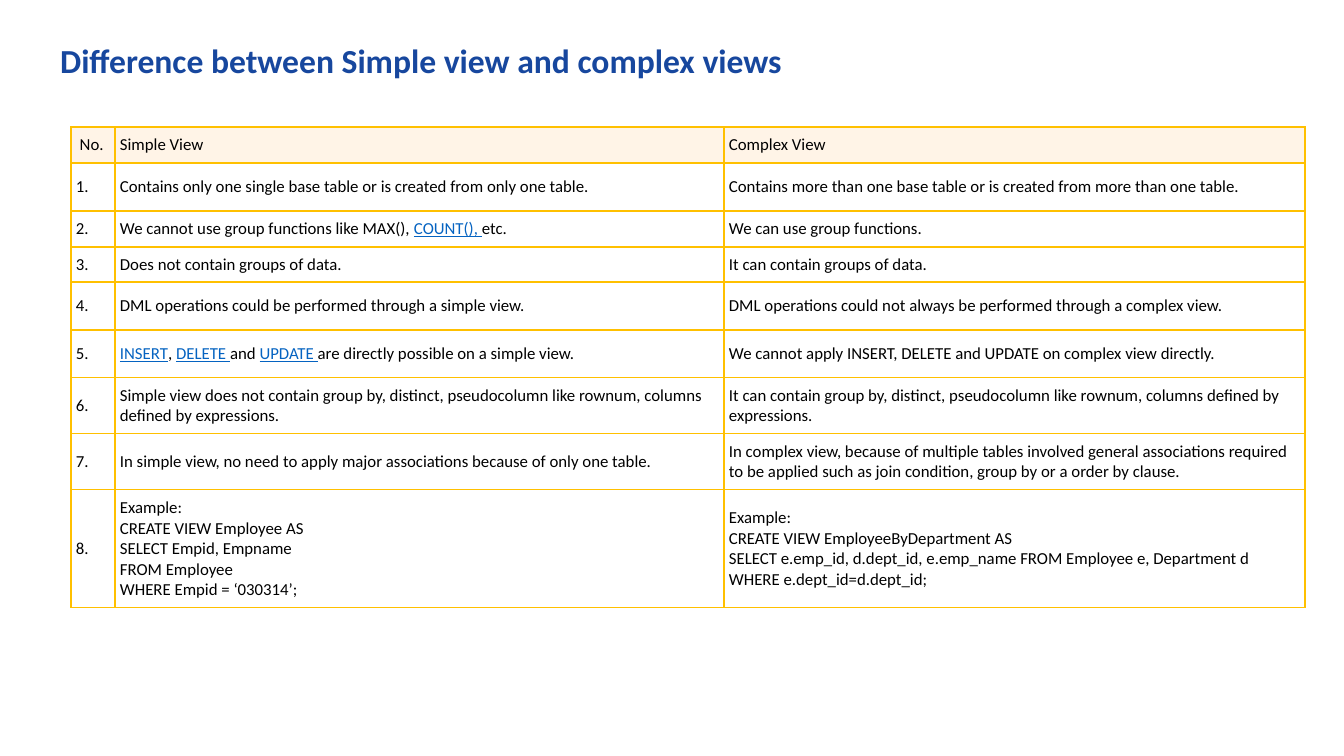
from lxml.etree import SubElement
from pptx import Presentation
from pptx.dml.color import RGBColor
from pptx.enum.text import MSO_ANCHOR, MSO_AUTO_SIZE, PP_ALIGN
from pptx.oxml.ns import qn
from pptx.util import Emu, Pt

PX = 9071  # EMU in one px, at 100.8 px to the inch


def style(r, size, color, **fmt):
    fmt = {"name": "Calibri", "size": Pt(size), **fmt}
    for key, value in fmt.items():
        setattr(r.font, key, value)
    r.font.color.rgb = RGBColor.from_string(color)


def add_borders(cell, color, width):
    tcPr = cell._tc.get_or_add_tcPr()
    for i, side in enumerate(("lnL", "lnR", "lnT", "lnB")):
        ln = SubElement(tcPr, qn(f"a:{side}"), w=str(Pt(width)))
        fill = SubElement(ln, qn("a:solidFill"))
        SubElement(fill, qn("a:srgbClr"), val=color)
        tcPr.remove(ln)
        tcPr.insert(i, ln)  # borders come before the cell fill


prs = Presentation()
prs.slide_width, prs.slide_height = Emu(1344 * PX), Emu(756 * PX)
s = prs.slides.add_slide(prs.slide_layouts[5])

# Title
title = s.shapes.title
title.left, title.top, title.width, title.height = (
    Emu(v * PX) for v in (50, 15, 965, 64))
tf = title.text_frame
for key, value in {"word_wrap": True, "auto_size": MSO_AUTO_SIZE.NONE,
                   "vertical_anchor": MSO_ANCHOR.TOP}.items():
    setattr(tf, key, value)
p = tf.paragraphs[0]
for key, value in {"alignment": PP_ALIGN.LEFT, "line_spacing": 1.5,
                   "space_before": Pt(10)}.items():
    setattr(p, key, value)
r = p.add_run()
r.text = "Difference between Simple view and complex views"
style(r, 24, "17479E", bold=True)

# Table content: *link*, \n starts a paragraph, | breaks a line
header = (" No.", "Simple View", "Complex View")
differences = [
    ("Contains only one single base table or is created from only one table.",
     "Contains more than one base table or is created from more than one table."),
    ("We cannot use group functions like MAX(), *COUNT(), *etc.",
     "We can use group functions."),
    ("Does not contain groups of data.", "It can contain groups of data."),
    ("DML operations could be performed through a simple view.",
     "DML operations could not always be performed through a complex view."),
    ("*INSERT*, *DELETE *and *UPDATE *are directly possible on a simple view.",
     "We cannot apply INSERT, DELETE and UPDATE on complex view directly."),
    ("Simple view does not contain group by, distinct, pseudocolumn like rownum, "
     "columns defined by expressions.",
     "It can contain group by, distinct, pseudocolumn like rownum, "
     "columns defined by expressions."),
    ("In simple view, no need to apply major associations because of only one table.",
     "In complex view, because of multiple tables involved general associations "
     "required to be applied such as join condition, group by or a order by clause."),
    ("Example:\nCREATE VIEW Employee AS|SELECT Empid, Empname|FROM Employee|"
     "WHERE Empid = ‘030314’;",
     "Example:\nCREATE VIEW EmployeeByDepartment AS\nSELECT e.emp_id, d.dept_id, "
     "e.emp_name FROM Employee e, Department d WHERE e.dept_id=d.dept_id;"),
]
rows = [header] + [(f"{n}.", *pair) for n, pair in enumerate(differences, 1)]
col_widths = (44, 609, 581)
row_heights = (36, 48, 36, 35, 48, 48, 56, 56, 118)

# Table
table = s.shapes.add_table(
    len(rows), len(col_widths), Emu(71 * PX), Emu(127 * PX),
    Emu(sum(col_widths) * PX), Emu(sum(row_heights) * PX)).table
for col, width in zip(table.columns, col_widths):
    col.width = Emu(width * PX)
for row, height in zip(table.rows, row_heights):
    row.height = Emu(height * PX)

cell_format = {
    "vertical_anchor": MSO_ANCHOR.MIDDLE,
    "margin_left": Emu(5 * PX), "margin_right": Emu(5 * PX),
    "margin_top": Emu(7 * PX), "margin_bottom": Emu(7 * PX),
}
for i, texts in enumerate(rows):
    for j, text in enumerate(texts):
        cell = table.cell(i, j)
        for key, value in cell_format.items():
            setattr(cell, key, value)
        cell.fill.solid()
        cell.fill.fore_color.rgb = RGBColor.from_string("FFFFFF" if i else "FFF4E7")
        add_borders(cell, "FFC000", 1)
        tf = cell.text_frame
        for k, para in enumerate(text.split("\n")):
            p = tf.add_paragraph() if k else tf.paragraphs[0]
            for m, line in enumerate(para.split("|")):
                if m:
                    p.add_line_break()
                for n, part in enumerate(line.split("*")):
                    if part:
                        r = p.add_run()
                        r.text = part
                        link = n % 2 == 1
                        style(r, 12, "0563C1" if link else "000000",
                              bold=False, underline=link)

prs.save("out.pptx")
